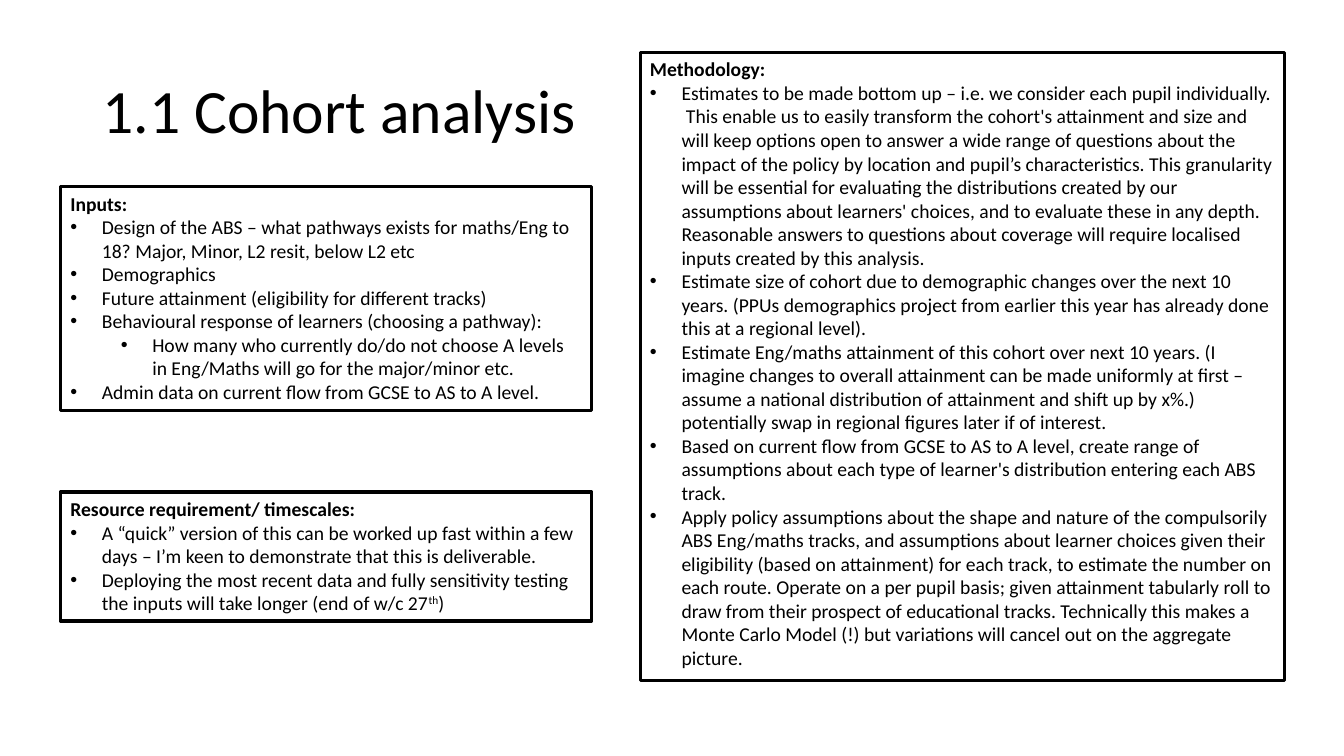
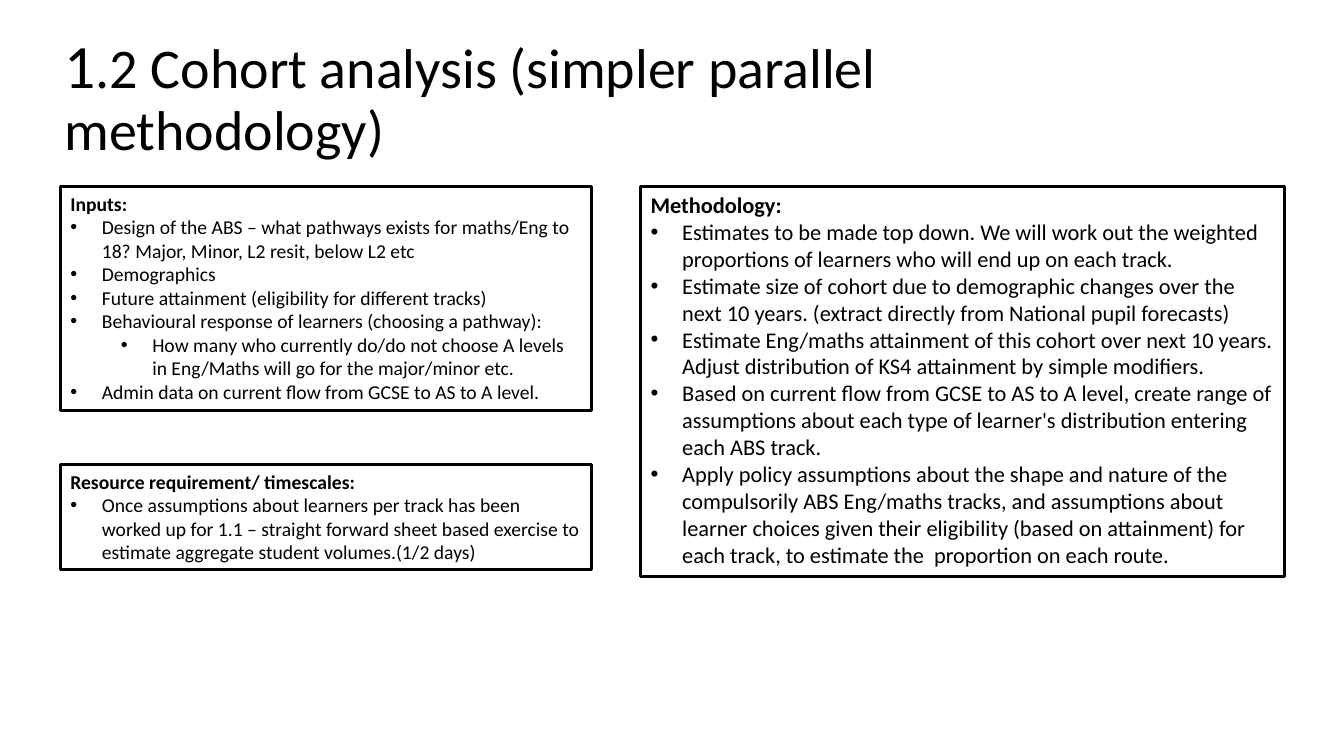
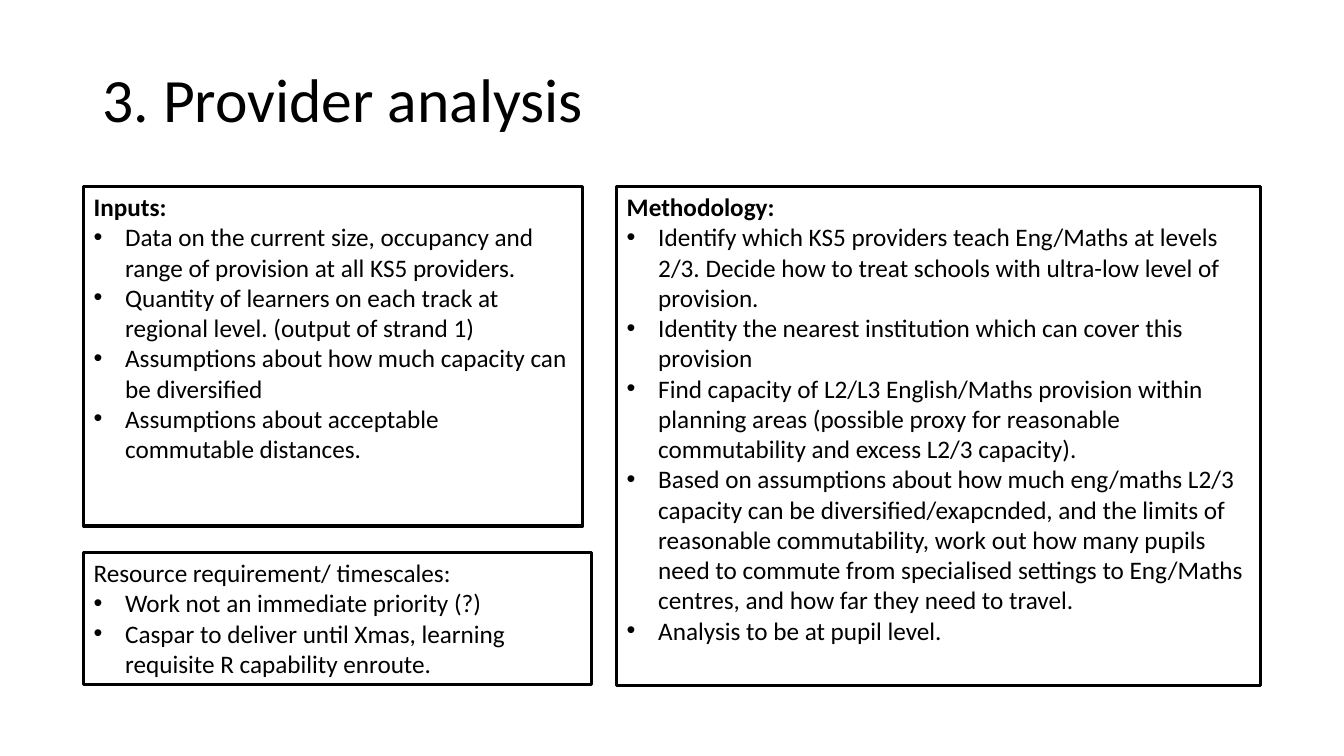
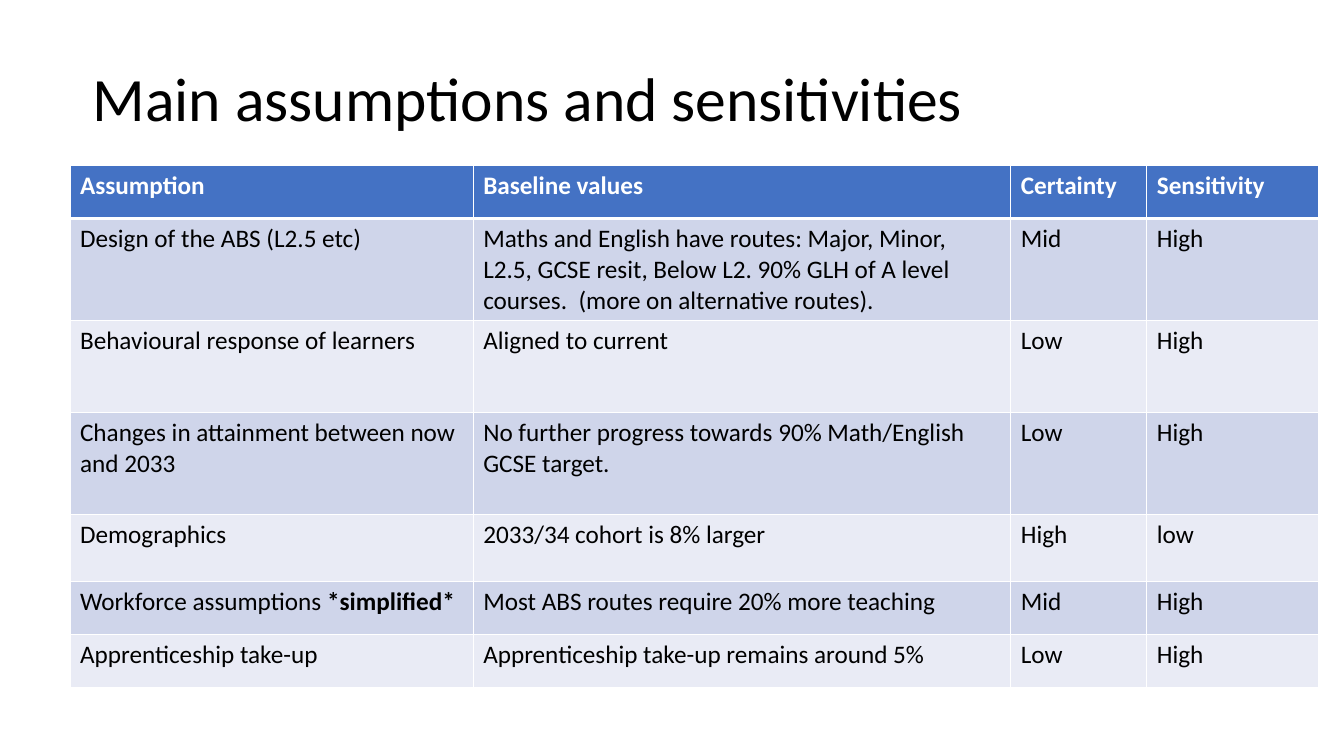
from dataclasses import dataclass

import lxml.etree
import pptx
import pptx.dml.color
import pptx.enum.text
import pptx.oxml.ns
import pptx.util

Pt = pptx.util.Pt
qn = pptx.oxml.ns.qn

COLORS = {
    "text": "000000",
    "line": "000000",
    "head_text": "FFFFFF",
    "border": "FFFFFF",
    "head": "4472C4",
    "band_dark": "CFD5EA",
    "band_light": "E9EBF5",
}
FONT = "Calibri"
TITLE_SIZE = 44
TITLE_WIDTH = 828
BOX_LINE = 2.25
HANG = 22.5
LEVEL_STEP = 36
TABLE_SIZE = 18


@dataclass(frozen=True)
class Run:
    text: str
    size: float | None = None
    bold: bool = False
    superscript: bool = False


Text = str | tuple[Run, ...]


@dataclass(frozen=True)
class Bullet:
    text: Text
    level: int = 0


@dataclass(frozen=True)
class Title:
    text: Text
    left: float
    top: float
    height: float


@dataclass(frozen=True)
class Box:
    heading: str
    bullets: tuple[Bullet, ...]
    left: float
    top: float
    width: float
    height: float
    size: float
    heading_bold: bool = True


def rgb(name: str) -> pptx.dml.color.RGBColor:
    return pptx.dml.color.RGBColor.from_string(COLORS[name])


def write(p, text: Text, size: float, color: str = "text", bold: bool = False) -> None:
    runs = (Run(text, bold=bold),) if isinstance(text, str) else text
    for run in runs:
        r = p.add_run()
        r.text = run.text
        r.font.name = FONT
        r.font.size = Pt(run.size or size)
        r.font.bold = run.bold
        r.font.color.rgb = rgb(color)
        if run.superscript:
            r.font._element.set("baseline", "30000")


def set_bullet(p, level: int) -> None:
    p.level = level
    pPr = p._p.get_or_add_pPr()
    pPr.set("marL", str(Pt(HANG + LEVEL_STEP * level)))
    pPr.set("indent", str(-Pt(HANG)))
    lxml.etree.SubElement(pPr, qn("a:buFont")).set("typeface", "Arial")
    lxml.etree.SubElement(pPr, qn("a:buChar")).set("char", "•")


def add_slide(prs, title: Title):
    s = prs.slides.add_slide(prs.slide_layouts[5])
    sp = s.shapes.title
    sp.left, sp.top = Pt(title.left), Pt(title.top)
    sp.width, sp.height = Pt(TITLE_WIDTH), Pt(title.height)
    tf = sp.text_frame
    tf.word_wrap = True
    tf.auto_size = pptx.enum.text.MSO_AUTO_SIZE.NONE
    tf.vertical_anchor = pptx.enum.text.MSO_ANCHOR.MIDDLE
    p = tf.paragraphs[0]
    p.alignment = pptx.enum.text.PP_ALIGN.LEFT
    p.line_spacing = 0.9
    write(p, title.text, TITLE_SIZE)
    return s


def add_box(s, box: Box) -> None:
    sp = s.shapes.add_textbox(Pt(box.left), Pt(box.top), Pt(box.width), Pt(box.height))
    sp.line.color.rgb = rgb("line")
    sp.line.width = Pt(BOX_LINE)
    tf = sp.text_frame
    tf.word_wrap = True
    write(tf.paragraphs[0], box.heading, box.size, bold=box.heading_bold)
    for bullet in box.bullets:
        p = tf.add_paragraph()
        set_bullet(p, bullet.level)
        write(p, bullet.text, box.size)


def set_border(cell, side: str, width: float) -> None:
    ln = lxml.etree.SubElement(cell._tc.get_or_add_tcPr(), qn(f"a:ln{side}"))
    ln.set("w", str(Pt(width)))
    fill = lxml.etree.SubElement(ln, qn("a:solidFill"))
    lxml.etree.SubElement(fill, qn("a:srgbClr")).set("val", COLORS["border"])


def add_assumption_table(s, left: float, top: float, widths: list[float],
                         heights: list[float], rows: list[tuple[Text, ...]]) -> None:
    tbl = s.shapes.add_table(len(rows), len(widths), Pt(left), Pt(top),
                             Pt(sum(widths)), Pt(sum(heights))).table
    for column, width in zip(tbl.columns, widths):
        column.width = Pt(width)
    for i, (height, row) in enumerate(zip(heights, rows)):
        tbl.rows[i].height = Pt(height)
        is_head = i == 0
        fill = "head" if is_head else "band_dark" if i % 2 else "band_light"
        edges = {"L": 1, "R": 1, "T": 3 if i == 1 else 1, "B": 3 if is_head else 1}
        for j, text in enumerate(row):
            cell = tbl.cell(i, j)
            for side, width in edges.items():
                set_border(cell, side, width)
            cell.fill.solid()
            cell.fill.fore_color.rgb = rgb(fill)
            write(cell.text_frame.paragraphs[0], text, TABLE_SIZE,
                  "head_text" if is_head else "text", is_head)


RESOURCES = "Resource requirement/ timescales:"
FLOW = Bullet("Based on current flow from GCSE to AS to A level, create range of assumptions "
              "about each type of learner's distribution entering each ABS track.")
POLICY = ("Apply policy assumptions about the shape and nature of the compulsorily ABS Eng/maths "
          "tracks, and assumptions about learner choices given their eligibility (based on "
          "attainment) for each track, to estimate the ")

COHORT_INPUTS = Box("Inputs:", (
    Bullet("Design of the ABS – what pathways exists for maths/Eng to 18? Major, Minor, "
           "L2 resit, below L2 etc"),
    Bullet("Demographics"),
    Bullet("Future attainment (eligibility for different tracks)"),
    Bullet("Behavioural response of learners (choosing a pathway):"),
    Bullet("How many who currently do/do not choose A levels in Eng/Maths will go for the "
           "major/minor etc.", 1),
    Bullet("Admin data on current flow from GCSE to AS to A level."),
), 43.2, 133.2, 379.4, 159.8, 14)

BOX_SLIDES = [
    (Title("1.1 Cohort analysis", 66, 28.8, 104.4), [
        COHORT_INPUTS,
        Box(RESOURCES, (
            Bullet("A “quick” version of this can be worked up fast within a few days – I’m keen "
                   "to demonstrate that this is deliverable."),
            Bullet((
                Run("Deploying the most recent data and fully sensitivity testing the inputs "
                    "will take longer (end of w/c 27"),
                Run("th", superscript=True),
                Run(")"),
            )),
        ), 43.2, 351.4, 379.4, 92.2, 14),
        Box("Methodology:", (
            Bullet("Estimates to be made bottom up – i.e. we consider each pupil individually. "
                   " This enable us to easily transform the cohort's attainment and size and will "
                   "keep options open to answer a wide range of questions about the impact of the "
                   "policy by location and pupil’s characteristics. This granularity will be "
                   "essential for evaluating the distributions created by our assumptions about "
                   "learners' choices, and to evaluate these in any depth. Reasonable answers to "
                   "questions about coverage will require localised inputs created by this "
                   "analysis."),
            Bullet("Estimate size of cohort due to demographic changes over the next 10 years. "
                   "(PPUs demographics project from earlier this year has already done this at a "
                   "regional level)."),
            Bullet("Estimate Eng/maths attainment of this cohort over next 10 years. (I imagine "
                   "changes to overall attainment can be made uniformly at first – assume a "
                   "national distribution of attainment and shift up by x%.) potentially swap in "
                   "regional figures later if of interest."),
            FLOW,
            Bullet(POLICY + "number on each route. Operate on a per pupil basis; given attainment "
                   "tabularly roll to draw from their prospect of educational tracks. Technically "
                   "this makes a Monte Carlo Model (!) but variations will cancel out on the "
                   "aggregate picture."),
        ), 457.2, 37.4, 460.1, 448.6, 14),
    ]),
    (Title((Run("1"), Run(".2 Cohort analysis (simpler parallel methodology)", 40)),
           38.9, 18.7, 104.4), [
        COHORT_INPUTS,
        Box(RESOURCES, (
            Bullet("Once assumptions about learners per track has been worked up for 1.1 – "
                   "straight forward sheet based exercise to estimate aggregate student "
                   "volumes.(1/2 days)"),
        ), 43.2, 331.9, 379.4, 74.9, 14),
        Box("Methodology:", (
            Bullet("Estimates to be made top down. We will work out the weighted proportions of "
                   "learners who will end up on each track."),
            Bullet("Estimate size of cohort due to demographic changes over the next 10 years. "
                   "(extract directly from National pupil forecasts)"),
            Bullet("Estimate Eng/maths attainment of this cohort over next 10 years. Adjust "
                   "distribution of KS4 attainment by simple modifiers."),
            FLOW,
            Bullet(POLICY + " proportion on each route."),
        ), 457.7, 133.2, 459.6, 278.6, 16),
    ]),
    (Title("3. Provider analysis", 66, 28.8, 88.6), [
        Box("Inputs:", (
            Bullet("Data on the current size, occupancy and range of provision at all KS5 "
                   "providers."),
            Bullet("Quantity of learners on each track at regional level. (output of strand 1)"),
            Bullet("Assumptions about how much capacity can be diversified"),
            Bullet("Assumptions about acceptable commutable distances."),
        ), 59.8, 133.2, 356.4, 242.6, 18),
        Box(RESOURCES, (
            Bullet("Work not an immediate priority (?)"),
            Bullet("Caspar to deliver until Xmas, learning requisite R capability enroute."),
        ), 59.8, 394.6, 362.9, 94.3, 18, heading_bold=False),
        Box("Methodology:", (
            Bullet("Identify which KS5 providers teach Eng/Maths at levels 2/3. Decide how to "
                   "treat schools with ultra-low level of provision."),
            Bullet("Identity the nearest institution which can cover this provision"),
            Bullet("Find capacity of L2/L3 English/Maths provision within planning areas "
                   "(possible proxy for reasonable commutability and excess L2/3 capacity)."),
            Bullet("Based on assumptions about how much eng/maths L2/3 capacity can be "
                   "diversified/exapcnded, and the limits of reasonable commutability, work out "
                   "how many pupils need to commute from specialised settings to Eng/Maths "
                   "centres, and how far they need to travel."),
            Bullet("Analysis to be at pupil level."),
        ), 440.6, 133.2, 460.1, 356.4, 18),
    ]),
]

ASSUMPTIONS = [
    ("Assumption", "Baseline values", "Certainty", "Sensitivity"),
    ("Design of the ABS (L2.5 etc)",
     "Maths and English have routes: Major, Minor, L2.5, GCSE resit, Below L2. 90% GLH of "
     "A level courses.  (more on alternative routes).", "Mid", "High"),
    ("Behavioural response of learners", "Aligned to current", "Low", "High"),
    ("Changes in attainment between now and 2033",
     "No further progress towards 90% Math/English GCSE target.", "Low", "High"),
    ("Demographics", "2033/34 cohort is 8% larger", "High", "low"),
    ((Run("Workforce assumptions "), Run("*simplified*", bold=True)),
     "Most ABS routes require 20% more teaching", "Mid", "High"),
    ("Apprenticeship take-up", "Apprenticeship take-up remains around 5%", "Low", "High"),
]


def main() -> None:
    prs = pptx.Presentation()
    prs.slide_width, prs.slide_height = Pt(960), Pt(540)
    for title, boxes in BOX_SLIDES:
        s = add_slide(prs, title)
        for box in boxes:
            add_box(s, box)
    s = add_slide(prs, Title("Main assumptions and sensitivities", 59, 39.6, 66.2))
    add_assumption_table(s, 50, 118.1, [288, 384, 97.2, 122.4],
                         [38, 73, 65.5, 73, 47.5, 38, 38], ASSUMPTIONS)
    prs.save("out.pptx")


if __name__ == "__main__":
    main()
